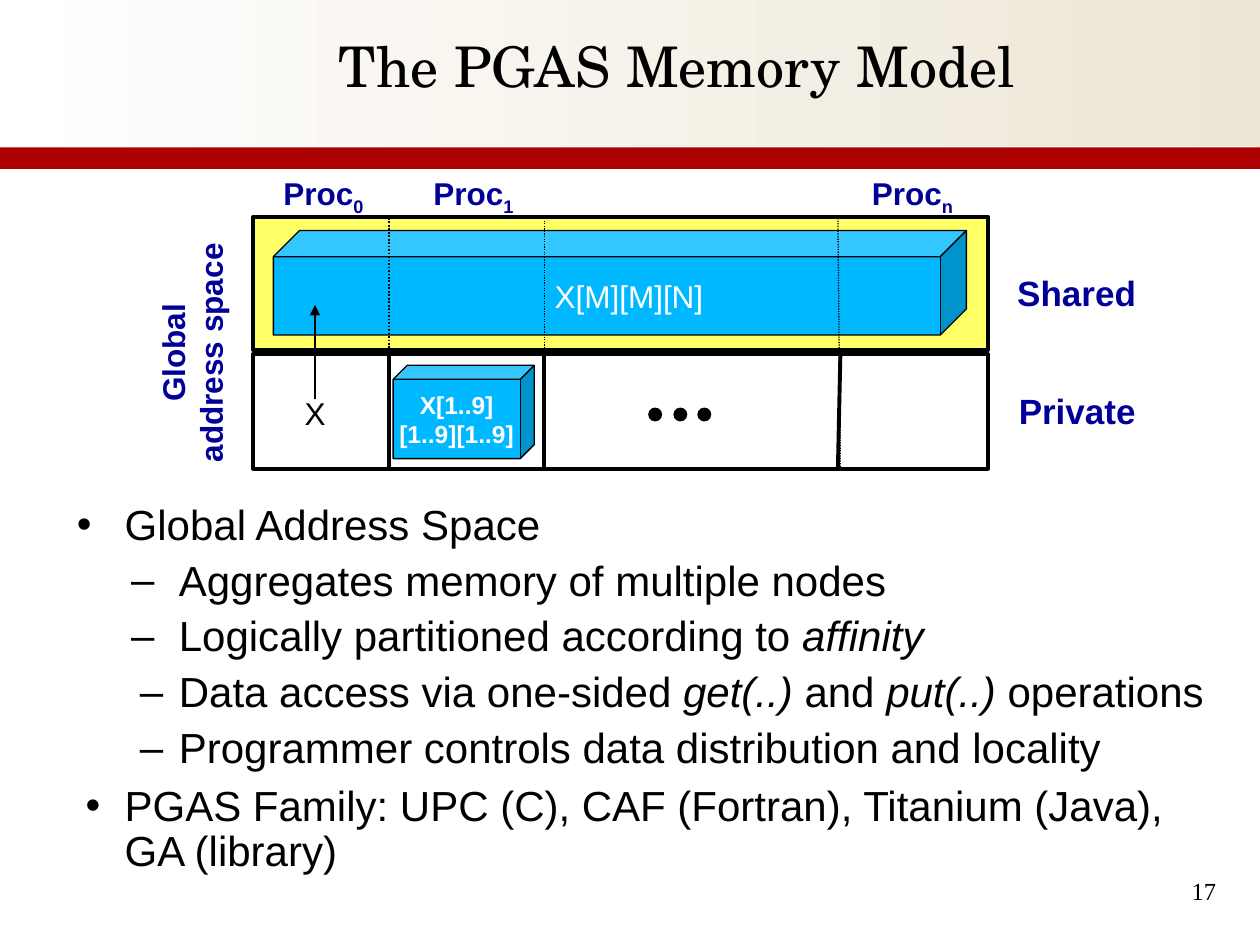
from pptx import Presentation
from pptx.dml.color import RGBColor
from pptx.enum.dml import MSO_LINE
from pptx.enum.shapes import MSO_CONNECTOR, MSO_SHAPE
from pptx.enum.text import MSO_ANCHOR, PP_ALIGN
from pptx.oxml.ns import qn
from pptx.util import Pt
from lxml import etree

PX = 9144

RECT, OVAL, CUBE = MSO_SHAPE.RECTANGLE, MSO_SHAPE.OVAL, MSO_SHAPE.CUBE
STRAIGHT = MSO_CONNECTOR.STRAIGHT
DOTTED = MSO_LINE.ROUND_DOT
LEFT, CENTER, RIGHT = PP_ALIGN.LEFT, PP_ALIGN.CENTER, PP_ALIGN.RIGHT
TOP, MIDDLE = MSO_ANCHOR.TOP, MSO_ANCHOR.MIDDLE

BLACK = RGBColor(0x00, 0x00, 0x00)
WHITE = RGBColor(0xFF, 0xFF, 0xFF)
CREAM = RGBColor(0xEE, 0xE6, 0xD6)
RED = RGBColor(0xAC, 0x00, 0x00)
YELLOW = RGBColor(0xFF, 0xFF, 0x66)
NAVY = RGBColor(0x00, 0x00, 0x99)
BLUE = RGBColor(0x00, 0xB8, 0xFF)

MARGINS = (10, 5, 10, 5)
FLUSH = (0, 0, 0, 0)

BULLETS = [
    (0, 38, [("Global Address Space", False)]),
    (1, 38, [("Aggregates memory of multiple nodes", False)]),
    (1, 38, [("Logically partitioned according to ", False), ("affinity", True)]),
    (1, 31, [("Data access via one-sided ", False), ("get(..) ", True),
             ("and ", False), ("put(..)", True), (" operations", False)]),
    (1, 31, [("Programmer controls data distribution and locality", False)]),
    (0, 31, [("PGAS Family: UPC (C), CAF (Fortran), Titanium (Java), GA (library)", False)]),
]


def inside(box, left, top, width, height):
    return box[0] + left, box[1] + top, width, height


def add_span(para, text, size, color, font="Arial", bold=False, italic=False, subscript=False):
    span = para.add_run()
    span.text = text
    span.font.name = font
    span.font.size = Pt(size)
    span.font.bold = bold
    span.font.italic = italic
    span.font.color.rgb = color
    if subscript:
        span.font._element.set("baseline", "-25000")


def set_frame(frame, margins=MARGINS, anchor=TOP, wrap=True):
    frame.margin_left, frame.margin_top, frame.margin_right, frame.margin_bottom = (
        side * PX for side in margins)
    frame.vertical_anchor = anchor
    frame.word_wrap = wrap


def add_text(page, box, margins=MARGINS, anchor=TOP, wrap=True, align=LEFT):
    shape = page.shapes.add_textbox(*(side * PX for side in box))
    set_frame(shape.text_frame, margins, anchor, wrap)
    para = shape.text_frame.paragraphs[0]
    para.alignment = align
    return shape, para


def add_block(page, kind, box, fill=None, line=None):
    shape = page.shapes.add_shape(kind, *(side * PX for side in box))
    shape.shadow.inherit = False
    if fill is None:
        shape.fill.background()
    else:
        shape.fill.solid()
        shape.fill.fore_color.rgb = fill
    if line is None:
        shape.line.fill.background()
    else:
        shape.line.color.rgb = BLACK
        shape.line.width = Pt(line)
    return shape


def add_line(page, box, start, end, width, color=BLACK, dash=None, arrow=False):
    ends = (box[0] + start[0], box[1] + start[1], box[0] + end[0], box[1] + end[1])
    line = page.shapes.add_connector(STRAIGHT, *(side * PX for side in ends))
    line.line.color.rgb = color
    line.line.width = Pt(width)
    if dash is not None:
        line.line.dash_style = dash
    if arrow:
        etree.SubElement(line.line._get_or_add_ln(), qn("a:tailEnd"), type="triangle")
    etree.SubElement(line._element.spPr, qn("a:effectLst"))


def add_cube(page, box, depth, lines, size, bold, margins=MARGINS):
    cube = add_block(page, CUBE, box, BLUE, 0.75)
    cube.adjustments[0] = depth
    frame = cube.text_frame
    set_frame(frame, margins, MIDDLE, False)
    for index, text in enumerate(lines):
        para = frame.add_paragraph() if index else frame.paragraphs[0]
        para.alignment = CENTER
        add_span(para, text, size, WHITE, bold=bold)


def draw_header(page, box):
    width = box[2]
    band = add_block(page, RECT, inside(box, 0, 0, width, 119))
    band.fill.gradient()
    band.fill.gradient_angle = 180
    for stop, color in zip(band.fill.gradient_stops, (CREAM, WHITE)):
        stop.color.rgb = color
    add_line(page, box, (0, 117), (width - 3, 117), 1.5, WHITE)
    add_block(page, RECT, inside(box, 0, 117, width, 17), RED)
    shape, para = add_text(page, inside(box, 85, 31, 905, 46), FLUSH, MIDDLE, align=CENTER)
    para.line_spacing = 0.95
    add_span(para, "The PGAS Memory Model", 32, BLACK, "TeX Gyre Schola")


def draw_process_labels(page, box):
    shape, para = add_text(page, box, (24, 5, 10, 5), wrap=False)
    tabs = etree.SubElement(para._p.get_or_add_pPr(), qn("a:tabLst"))
    for stop in (119, 467):
        etree.SubElement(tabs, qn("a:tab"), pos=str(stop * PX), algn="l")
    for name, index in (("Proc", "0"), ("\tProc", "1"), ("\tProc", "n")):
        add_span(para, name, 18, NAVY, bold=True)
        add_span(para, index, 18, NAVY, bold=True, subscript=True)


def draw_memory(page, box):
    width, height = box[2:]
    shared_height, private_top = 106, 109
    columns = [(108, 108, 1), (231, 231, 0.75), (466, 464, 0.75)]

    add_block(page, RECT, inside(box, 0, 0, width, shared_height), YELLOW, 2.25)
    add_block(page, RECT, inside(box, 0, private_top, width, height - private_top), line=2.25)
    for upper, lower, dot_width in columns:
        add_line(page, box, (upper, private_top), (lower, height), 2.25)

    for name, left, top, label_width in (("Shared", 599, 35, 109), ("Private", 601, 129, 106)):
        shape, para = add_text(page, inside(box, left, top, label_width, 50),
                               FLUSH, MIDDLE, False, CENTER)
        add_span(para, name, 20, NAVY, bold=True)
    shape, para = add_text(page, inside(box, -147, 73, 196, 70), align=CENTER)
    shape.rotation = 270
    add_span(para, "Global address space", 18, NAVY, bold=True)
    draw_process_labels(page, inside(box, 0, -39, width, 40))

    for left in (314, 334, 353):
        add_block(page, OVAL, inside(box, left, 152, 10, 10), BLACK, 0.75)
    add_cube(page, inside(box, 16, 11, 550, 83), 0.25, ["X[M][M][N]"], 18, False, (45, 5, 10, 5))
    for upper, lower, dot_width in columns:
        add_line(page, box, (lower, 1), (upper, height), dot_width, dash=DOTTED)
    add_cube(page, inside(box, 111, 118, 112, 74), 0.15, ["X[1..9]", "[1..9][1..9]"], 14, True)

    shape, para = add_text(page, inside(box, 31, 136, 37, 40), wrap=False)
    add_span(para, "X", 18, BLACK)
    add_line(page, box, (49, 145), (49, 70), 0.75, arrow=True)


def draw_bullets(page, box):
    shape, first = add_text(page, box, FLUSH)
    for index, (level, hanging, spans) in enumerate(BULLETS):
        para = shape.text_frame.add_paragraph() if index else first
        para.level = level
        para.line_spacing = 0.9
        para.space_before = Pt((6 if level else 7) if index else 0)
        layout = para._p.get_or_add_pPr()
        layout.set("marL", str((81 if level else 38) * PX))
        layout.set("indent", str(-hanging * PX))
        color = etree.SubElement(layout, qn("a:buClr"))
        etree.SubElement(color, qn("a:srgbClr"), val=str(BLACK))
        etree.SubElement(layout, qn("a:buFont"), typeface="Arial")
        etree.SubElement(layout, qn("a:buChar"), char="–" if level else "•")
        for text, italic in spans:
            add_span(para, text, 24, BLACK, italic=italic)


def draw_page_number(page, box):
    shape, para = add_text(page, box, align=RIGHT)
    para.line_spacing = 0.93
    add_span(para, "17", 14, BLACK, "Times New Roman")


def main():
    deck = Presentation()
    deck.slide_width, deck.slide_height = 1000 * PX, 750 * PX
    page = deck.slides.add_slide(deck.slide_layouts[6])
    draw_header(page, (0, 0, 1000, 134))
    draw_page_number(page, (742, 692, 233, 42))
    draw_bullets(page, (61, 400, 905, 333))
    draw_memory(page, (201, 172, 583, 200))
    deck.save("out.pptx")


if __name__ == "__main__":
    main()
